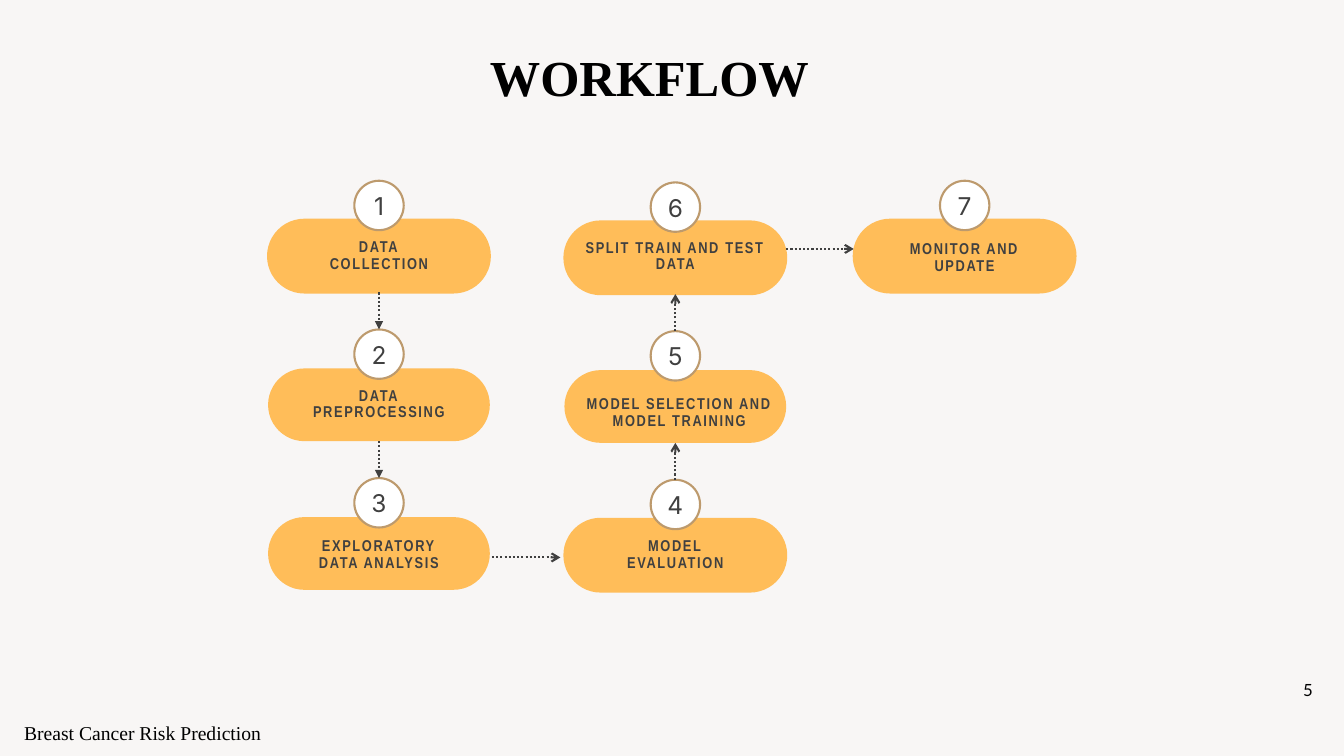
from pptx import Presentation, util as u
from pptx.dml.color import RGBColor
from pptx.enum import dml, shapes, text
from pptx.oxml.ns import qn
from lxml import etree

PAPER = RGBColor(0xF8, 0xF6, 0xF5)
AMBER = RGBColor(0xFF, 0xBD, 0x59)
WHITE = RGBColor(0xFF, 0xFF, 0xFF)
TAN = RGBColor(0xBD, 0x9A, 0x6D)
GREY = RGBColor(0x40, 0x40, 0x40)
BLACK = RGBColor(0, 0, 0)

COLS, ROWS = 80, 45
CELL = u.Inches(1) // 6
PILL_W, PILL_H, BADGE = 13.2, 4.33, 2.94
LANES = [(15.96, 13.08), (33.6, 13.18), (50.82, 13.08)]
PITCH, RISE = 8.85, 2.32

HEAD = dict(name="Times New Roman", size=36, bold=True, color=BLACK, lead=40.5)
LABEL = dict(name="Arial Narrow", size=11.2, bold=True, color=GREY, lead=12, gap=1.2)
DIGIT = dict(name="Inter", size=17.5, bold=False, color=GREY, lead=23.3, gap=1.9)
FOOT = dict(name="Times New Roman", size=14, bold=False, color=BLACK)
PAGE = dict(FOOT, name="Lato", size=12)

SIDE = 1.76
STEPS = [
    (1, "DATA COLLECTION", 0, 0, (SIDE, 0.5, SIDE, 0), True),
    (2, "DATA PREPROCESSING", 0, 1, (SIDE, 0.5, SIDE, 0), False),
    (3, "EXPLORATORY DATA ANALYSIS", 0, 2, (SIDE, 0.62, SIDE, 0), False),
    (4, "MODEL EVALUATION", 1, 2, (SIDE, 0.5, SIDE, 0), True),
    (5, "MODEL SELECTION AND MODEL TRAINING", 1, 1, (0.48, 0.92, 0, 0), False),
    (6, "SPLIT TRAIN AND TEST DATA", 1, 0, (0, 0.44, 0, 0), True),
    (7, "MONITOR AND UPDATE", 2, 0, (SIDE, 0.62, SIDE, 0), True),
]


def grid(*cells):
    """Turn grid cells into lengths."""
    return [u.Emu(round(c * CELL)) for c in cells]


class Deck:
    """Hold the style and the current slide."""

    def __init__(self):
        """Start a deck with one title-only slide."""
        self.prs = Presentation()
        self.prs.slide_width, self.prs.slide_height = grid(COLS, ROWS)
        self.page = self.prs.slides.add_slide(self.prs.slide_layouts[5])
        self.page.background.fill.solid()
        self.page.background.fill.fore_color.rgb = PAPER

    def label(self, shape, words, style, inset, align="LEFT", anchor="TOP", wrap=True):
        """Put styled text into a shape."""
        frame = shape.text_frame
        sides = ("margin_left", "margin_top", "margin_right", "margin_bottom")
        values = dict(zip(sides, grid(*inset)), word_wrap=wrap,
                      auto_size=text.MSO_AUTO_SIZE.NONE,
                      vertical_anchor=text.MSO_ANCHOR[anchor])
        for key, value in values.items():
            setattr(frame, key, value)
        para = frame.paragraphs[0]
        para.alignment = text.PP_ALIGN[align]
        if "lead" in style:
            para.line_spacing = u.Pt(style["lead"])
        run = para.add_run()
        run.text = words
        for key, value in dict(name=style["name"], size=u.Pt(style["size"]),
                               bold=style["bold"]).items():
            setattr(run.font, key, value)
        run.font.color.rgb = style["color"]
        if "gap" in style:
            run._r.get_or_add_rPr().set("spc", str(round(style["gap"] * 100)))

    def title(self, words, box):
        """Place the slide title."""
        head = self.page.shapes.title
        for key, value in zip(("left", "top", "width", "height"), grid(*box)):
            setattr(head, key, value)
        self.label(head, words, HEAD, (0, 0, 0, 0))

    def note(self, words, box, style):
        """Add a plain text box."""
        self.label(self.page.shapes.add_textbox(*grid(*box)), words, style, (0.6, 0.3, 0.6, 0.3))

    def shape(self, kind, box, fill, edge=None):
        """Add a filled shape with an optional outline."""
        item = self.page.shapes.add_shape(kind, *grid(*box))
        item.shadow.inherit = False
        item.fill.solid()
        item.fill.fore_color.rgb = fill
        if edge is None:
            item.line.fill.background()
        else:
            item.line.color.rgb = edge
            item.line.width = u.Pt(1.5)
        return item

    def step(self, num, words, lane, row, inset, edged):
        """Add a pill with its numbered badge."""
        x, top = LANES[lane]
        y = top + row * PITCH
        pill = self.shape(shapes.MSO_SHAPE.ROUNDED_RECTANGLE, (x, y, PILL_W, PILL_H),
                          AMBER, AMBER if edged else None)
        pill.adjustments[0] = 0.5
        self.label(pill, words, LABEL, inset, "CENTER")
        badge = self.shape(shapes.MSO_SHAPE.OVAL,
                           (x + (PILL_W - BADGE) / 2, y - RISE, BADGE, BADGE), WHITE, TAN)
        self.label(badge, str(num), DIGIT, (0, 0, 0, 0.18), "CENTER", "MIDDLE", False)
        return pill, badge

    def arrow(self, ends=(0, 0, 0, 0), tip="arrow", start=None, stop=None):
        """Add a dotted arrow, joined to shapes where given."""
        line = self.page.shapes.add_connector(shapes.MSO_CONNECTOR.STRAIGHT, *grid(*ends))
        if start:
            line.begin_connect(*start)
        if stop:
            line.end_connect(*stop)
        line.line.color.rgb = GREY
        line.line.width = u.Pt(1.5)
        line.line.dash_style = dml.MSO_LINE.ROUND_DOT
        props = line._element.spPr
        etree.SubElement(props.find(qn("a:ln")), qn("a:tailEnd")).set("type", tip)
        etree.SubElement(props, qn("a:effectLst"))


def main():
    """Build the workflow slide."""
    deck = Deck()
    deck.title("WORKFLOW", (29.16, 2.94, 22.56, 3.36))
    flow = {item[0]: deck.step(*item) for item in STEPS}
    for num in (1, 2):
        deck.arrow(tip="triangle", start=(flow[num][0], 2), stop=(flow[num + 1][1], 0))
    for num in (4, 5):
        deck.arrow(start=(flow[num][1], 0), stop=(flow[num + 1][0], 2))
    deck.arrow((29.28, 33.18, 33.36, 33.18))
    deck.arrow((46.8, 14.82, 50.82, 14.82))
    deck.note("5", (76.98, 40.14, 3, 2.4), PAGE)
    deck.note("Breast Cancer Risk Prediction", (0.84, 42.6, 16.32, 2.4), FOOT)
    deck.prs.save("out.pptx")


if __name__ == "__main__":
    main()
